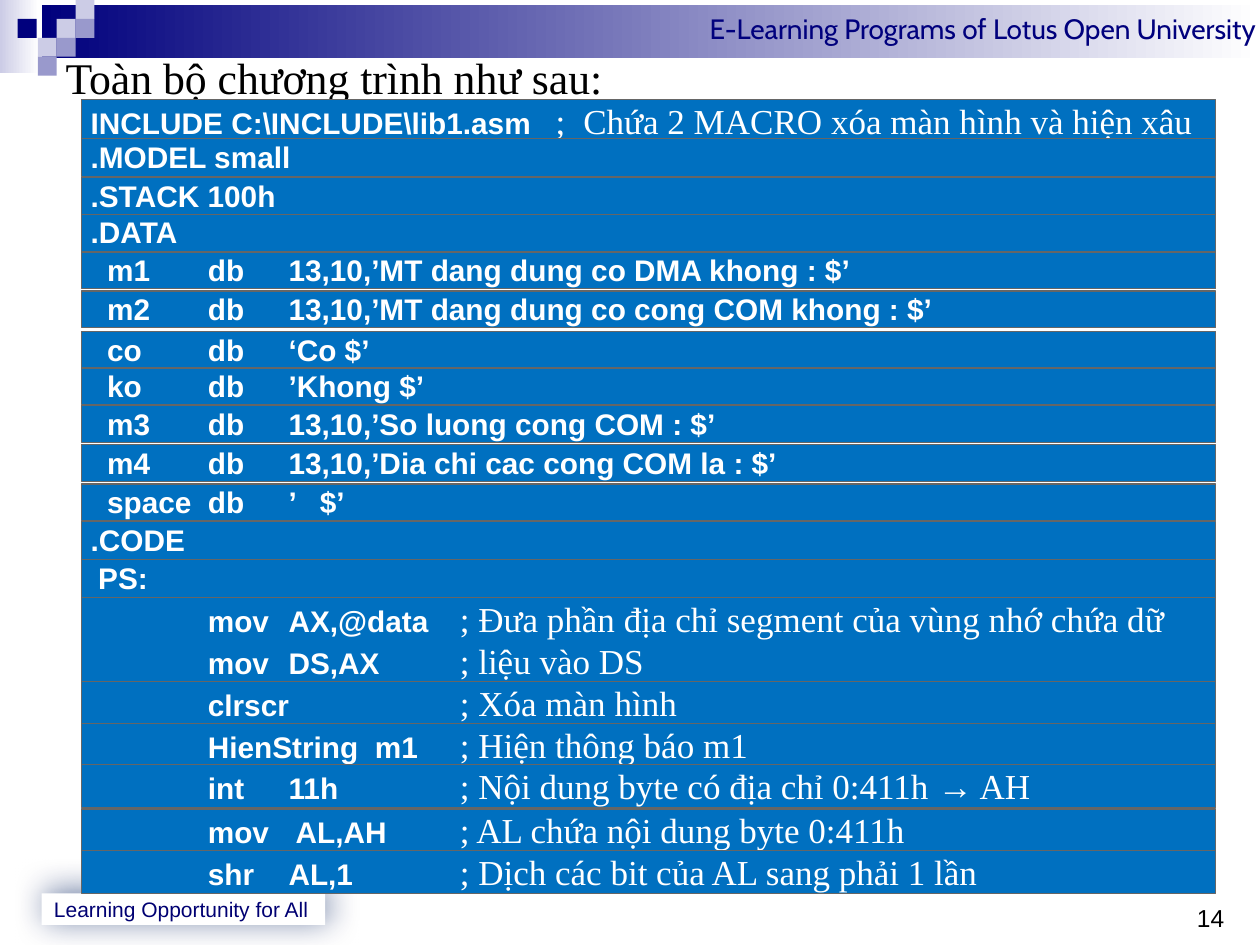
from lxml.etree import SubElement
from pptx import Presentation
from pptx.dml.color import RGBColor
from pptx.enum.shapes import MSO_SHAPE
from pptx.enum.text import MSO_ANCHOR as Anchor, PP_ALIGN as Align
from pptx.oxml.ns import qn
from pptx.util import Inches, Pt

NAVY, LAVENDER, VIOLET, WHITE = "00007D", "CCCCE6", "9999CC", "FFFFFF"
ROW_BLUE, ROW_LINE = "0070C0", "666666"
SANS, SERIF, BANNER_FONT = "Arial", "Times New Roman", "Cabin"

BANNER = "E-Learning Programs of Lotus Open University"
HEADING = "Toàn bộ chương trình như sau:"
MOTTO = "Learning Opportunity for All"
PAGE = "14"

# left, top, colour of the header squares
SQUARES = [
    (0.45, 0.15, LAVENDER), (0.6, 0, LAVENDER), (0.6, 0.15, VIOLET),
    (0.3, 0.3, LAVENDER), (0.14, 0.15, NAVY), (0.45, 0.3, VIOLET),
    (0.3, 0.45, VIOLET),
]
SQUARE = 0.15

ROW_LEFT, ROW_WIDTH = 0.65, 9
CODE_TABS = (1, 1.64, 3)
INCLUDE_TABS = (3.76, 3.98)

# (row height, text indent, tab stops, [(top, [(code, comment), ...]), ...])
LISTING = [
    (0.34, 0.07, INCLUDE_TABS, [
        (0.79, [("INCLUDE C:\\INCLUDE\\lib1.asm\t",
                 ";\tChứa 2 MACRO xóa màn hình và hiện xâu")]),
    ]),
    (0.3, 0.07, CODE_TABS, [
        (1.1, [(".MODEL small", "")]),
        (1.41, [(".STACK 100h", "")]),
        (1.7, [(".DATA", "")]),
    ]),
    (0.29, 0.2, CODE_TABS, [
        (2, [("m1\tdb\t13,10,’MT dang dung co DMA khong : $’", "")]),
        (2.31, [("m2\tdb\t13,10,’MT dang dung co cong COM khong : $’", "")]),
        (2.63, [("co\tdb\t‘Co $’", "")]),
        (2.92, [("ko\tdb\t’Khong $’", "")]),
        (3.22, [("m3\tdb\t13,10,’So luong cong COM : $’", "")]),
        (3.53, [("m4\tdb\t13,10,’Dia chi cac cong COM la : $’", "")]),
        (3.84, [("space\tdb\t’   $’", "")]),
    ]),
    (0.3, 0.07, CODE_TABS, [(4.14, [(".CODE", "")])]),
    (0.3, 0.13, CODE_TABS, [(4.44, [("PS:", "")])]),
    (0.67, 0, CODE_TABS, [
        (4.74, [
            ("\tmov\tAX,@data\t", "; Đưa phần địa chỉ segment của vùng nhớ chứa dữ"),
            ("\tmov\tDS,AX\t", "; liệu vào DS"),
        ]),
    ]),
    (0.34, 0, CODE_TABS, [
        (5.41, [("\tclrscr\t", "; Xóa màn hình")]),
        (5.74, [("\tHienString  m1\t", "; Hiện thông báo m1")]),
        (6.07, [("\tint\t11h\t", "; Nội dung byte có địa chỉ 0:411h → AH")]),
        (6.42, [("\tmov\t AL,AH\t", "; AL chứa nội dung byte 0:411h")]),
        (6.75, [("\tshr\tAL,1\t", "; Dịch các bit của AL sang phải 1 lần")]),
    ]),
]


def rgb(color):
    return RGBColor.from_string(color)


def add_rect(slide, left, top, width, height, fill, fade_to=None, line=None):
    """Add a flat rectangle, or one fading left to right to fade_to."""
    rect = slide.shapes.add_shape(
        MSO_SHAPE.RECTANGLE, Inches(left), Inches(top), Inches(width), Inches(height))
    rect.shadow.inherit = False
    if fade_to:
        rect.fill.gradient()
        rect.fill.gradient_angle = 0
        for stop, color in zip(rect.fill.gradient_stops, (fill, fade_to)):
            stop.color.rgb = rgb(color)
    else:
        rect.fill.solid()
        rect.fill.fore_color.rgb = rgb(fill)
    if line:
        rect.line.color.rgb = rgb(line)
        rect.line.width = Pt(0.75)
    else:
        rect.line.fill.background()
    return rect


def style(run, size, font, color, bold=False):
    run.font.size, run.font.name, run.font.bold = Pt(size), font, bold
    run.font.color.rgb = rgb(color)


def set_line(frame, text, size, font, color, align=Align.LEFT, anchor=Anchor.TOP):
    frame.text = text
    frame.word_wrap = True
    frame.vertical_anchor = anchor
    frame.paragraphs[0].alignment = align
    style(frame.paragraphs[0].runs[0], size, font, color)


def set_tabs(paragraph, stops):
    tab_list = SubElement(paragraph._p.get_or_add_pPr(), qn("a:tabLst"))
    for stop in stops:
        SubElement(tab_list, qn("a:tab"), pos=str(Inches(stop)), algn="l")


def add_glow(rect, color, alpha, blur, distance, angle):
    """Fill the empty effect list of rect with a soft outer shadow."""
    effects = rect._element.spPr.find(qn("a:effectLst"))
    shadow = SubElement(
        effects, qn("a:outerShdw"), blurRad=str(Pt(blur)), dist=str(Pt(distance)),
        dir=str(angle * 60000), algn="ctr", rotWithShape="0")
    tint = SubElement(shadow, qn("a:srgbClr"), val=color)
    SubElement(tint, qn("a:alpha"), val=str(alpha * 1000))


def add_code_row(slide, top, height, indent, tabs, lines):
    row = add_rect(slide, ROW_LEFT, top, ROW_WIDTH, height, ROW_BLUE, line=ROW_LINE)
    frame = row.text_frame
    frame.word_wrap = True
    frame.vertical_anchor = Anchor.TOP
    frame.margin_left = Inches(indent)
    frame.margin_top = frame.margin_right = frame.margin_bottom = 0
    for number, (code, comment) in enumerate(lines):
        paragraph = frame.add_paragraph() if number else frame.paragraphs[0]
        paragraph.alignment = Align.LEFT
        set_tabs(paragraph, [stop - indent for stop in tabs])
        before, arrow, after = comment.partition("→")
        for text, size, font, bold in (
                (code, 17, SANS, True), (before, 20, SERIF, False),
                (arrow, 20, SANS, False), (after, 20, SERIF, False)):
            if text:
                run = paragraph.add_run()
                run.text = text
                style(run, size, font, WHITE, bold)


def main():
    deck = Presentation()
    deck.slide_width, deck.slide_height = Inches(10), Inches(7.5)
    slide = deck.slides.add_slide(deck.slide_layouts[5])

    add_rect(slide, 0, 0, 0.31, 0.58, LAVENDER, fade_to=WHITE)
    banner = add_rect(slide, 0.33, 0.04, 9.67, 0.42, NAVY, fade_to=WHITE)
    set_line(banner.text_frame, BANNER, 16, BANNER_FONT, NAVY, Align.RIGHT)
    banner.text_frame.margin_right = Inches(0.03)
    for left, top, color in SQUARES:
        add_rect(slide, left, top, SQUARE, SQUARE, color)

    motto = add_rect(slide, 0.33, 7.09, 2.25, 0.25, WHITE)
    add_glow(motto, "002060", alpha=56, blur=19, distance=3, angle=315)
    set_line(motto.text_frame, MOTTO, 12, SANS, "000072", anchor=Anchor.MIDDLE)

    page = slide.shapes.add_textbox(Inches(9.5), Inches(7.12), Inches(0.3), Inches(0.3))
    set_line(page.text_frame, PAGE, 14, SANS, "000000")
    page.text_frame.margin_left = page.text_frame.margin_right = 0

    heading = slide.shapes.title
    heading.left, heading.top = Inches(0.17), Inches(0.32)
    heading.width, heading.height = Inches(9.7), Inches(6.6)
    set_line(heading.text_frame, HEADING, 25, SERIF, "000000")
    heading.text_frame.margin_left = Inches(0.35)
    heading.text_frame.margin_top = Inches(0.08)

    for height, indent, tabs, rows in LISTING:
        for top, lines in rows:
            add_code_row(slide, top, height, indent, tabs, lines)

    deck.save("out.pptx")


if __name__ == "__main__":
    main()
